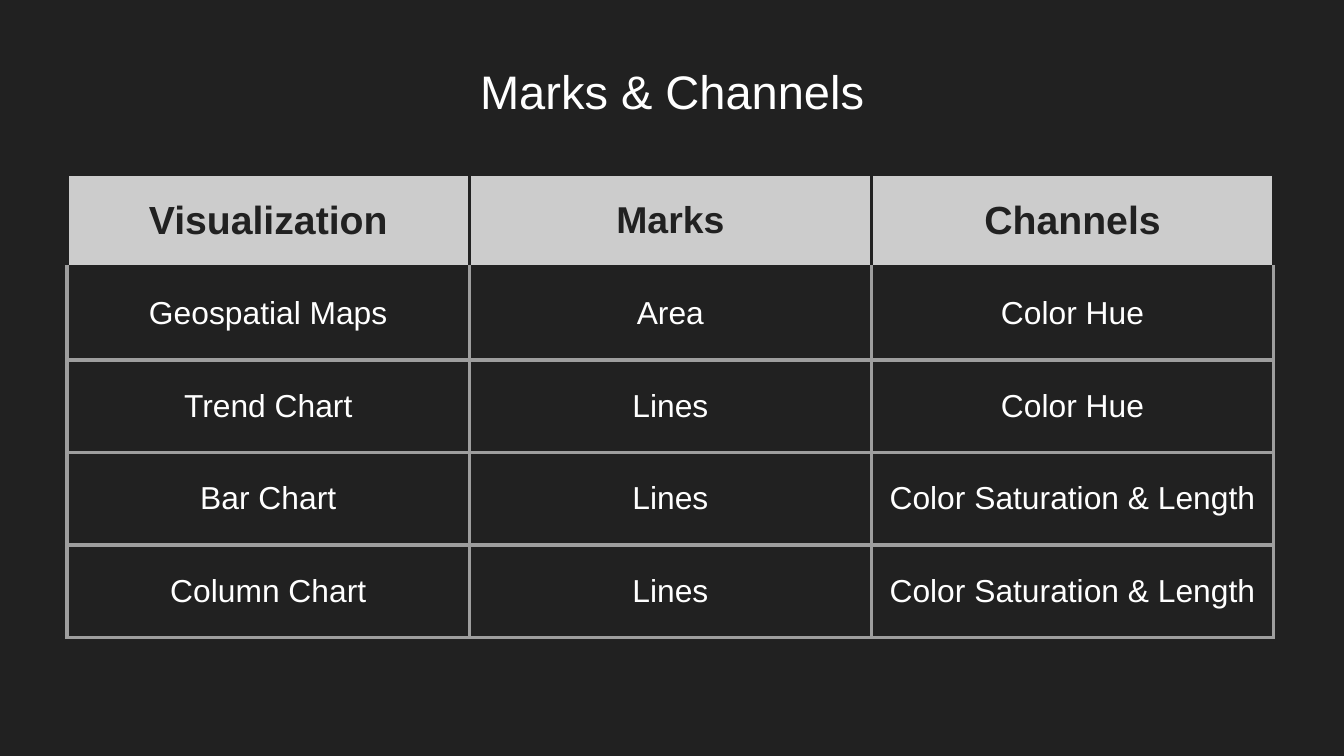
from lxml import etree
from pptx import Presentation
from pptx.dml.color import RGBColor
from pptx.enum.text import MSO_ANCHOR, PP_ALIGN
from pptx.oxml.ns import qn
from pptx.util import Cm, Pt

CENTER = PP_ALIGN.CENTER
MIDDLE = MSO_ANCHOR.MIDDLE
BLANK_LAYOUT = 6

DARK = RGBColor(0x21, 0x21, 0x21)
WHITE = RGBColor(0xFF, 0xFF, 0xFF)
HEADER_GRAY = RGBColor(0xCC, 0xCC, 0xCC)
GRID_GRAY = RGBColor(0x9E, 0x9E, 0x9E)

FONT = "Arial"
INSET = Cm(0.25)
COLUMN_WIDTH = Cm(7.6)
ROW_HEIGHT = Cm(1.75)
BORDER_WIDTH = Pt(2.25)

HEADER_SIZES = (21, 20, 21)
ROWS = (
    ("Visualization", "Marks", "Channels"),
    ("Geospatial Maps", "Area", "Color Hue"),
    ("Trend Chart", "Lines", "Color Hue"),
    ("Bar Chart", "Lines", "Color Saturation & Length"),
    ("Column Chart", "Lines", "Color Saturation & Length"),
)


def write_text(text_frame, text, *, size, color=WHITE, bold=False):
    """Write one centred paragraph."""
    paragraph = text_frame.paragraphs[0]
    paragraph.alignment = CENTER
    run = paragraph.add_run()
    run.text = text
    run.font.name = FONT
    run.font.size = Pt(size)
    run.font.bold = bold
    run.font.color.rgb = color


def set_insets(target):
    """Give a text frame or a cell equal margins and middle anchoring."""
    target.margin_left = target.margin_right = INSET
    target.margin_top = target.margin_bottom = INSET
    target.vertical_anchor = MIDDLE


def set_borders(cell, *, color, top_color):
    """Draw the four cell borders, which must precede the fill in the XML."""
    properties = cell._tc.get_or_add_tcPr()
    sides = (("lnL", color), ("lnR", color), ("lnT", top_color), ("lnB", color))
    for index, (side, side_color) in enumerate(sides):
        line = etree.Element(qn(f"a:{side}"), w=str(BORDER_WIDTH))
        fill = etree.SubElement(line, qn("a:solidFill"))
        etree.SubElement(fill, qn("a:srgbClr"), val=str(side_color))
        properties.insert(index, line)


def add_title(slide, text):
    shape = slide.shapes.add_textbox(Cm(0.87), Cm(0.92), Cm(23.67), Cm(1.6))
    shape.text_frame.word_wrap = True
    set_insets(shape.text_frame)
    write_text(shape.text_frame, text, size=25.2)


def format_header_cell(cell, text, size):
    cell.fill.solid()
    cell.fill.fore_color.rgb = HEADER_GRAY
    set_borders(cell, color=DARK, top_color=DARK)
    write_text(cell.text_frame, text, size=size, color=DARK, bold=True)


def format_body_cell(cell, text, top_color):
    cell.fill.background()
    set_borders(cell, color=GRID_GRAY, top_color=top_color)
    write_text(cell.text_frame, text, size=17)


def add_channel_table(slide):
    row_count, column_count = len(ROWS), len(ROWS[0])
    table = slide.shapes.add_table(
        row_count, column_count, Cm(1.27), Cm(3.3),
        COLUMN_WIDTH * column_count, ROW_HEIGHT * row_count,
    ).table
    table.horz_banding = False
    table.first_row = False
    for column in table.columns:
        column.width = COLUMN_WIDTH
    for row_index, texts in enumerate(ROWS):
        table.rows[row_index].height = ROW_HEIGHT
        for column_index, text in enumerate(texts):
            cell = table.cell(row_index, column_index)
            set_insets(cell)
            if row_index == 0:
                format_header_cell(cell, text, HEADER_SIZES[column_index])
            else:
                # The first body row shares its top edge with the header
                format_body_cell(cell, text, DARK if row_index == 1 else GRID_GRAY)


def main():
    presentation = Presentation()
    presentation.slide_width = Cm(25.4)
    presentation.slide_height = Cm(14.29)
    slide = presentation.slides.add_slide(presentation.slide_layouts[BLANK_LAYOUT])

    # Background
    slide.background.fill.solid()
    slide.background.fill.fore_color.rgb = DARK

    # Content
    add_title(slide, "Marks & Channels")
    add_channel_table(slide)

    presentation.save("out.pptx")


if __name__ == "__main__":
    main()
